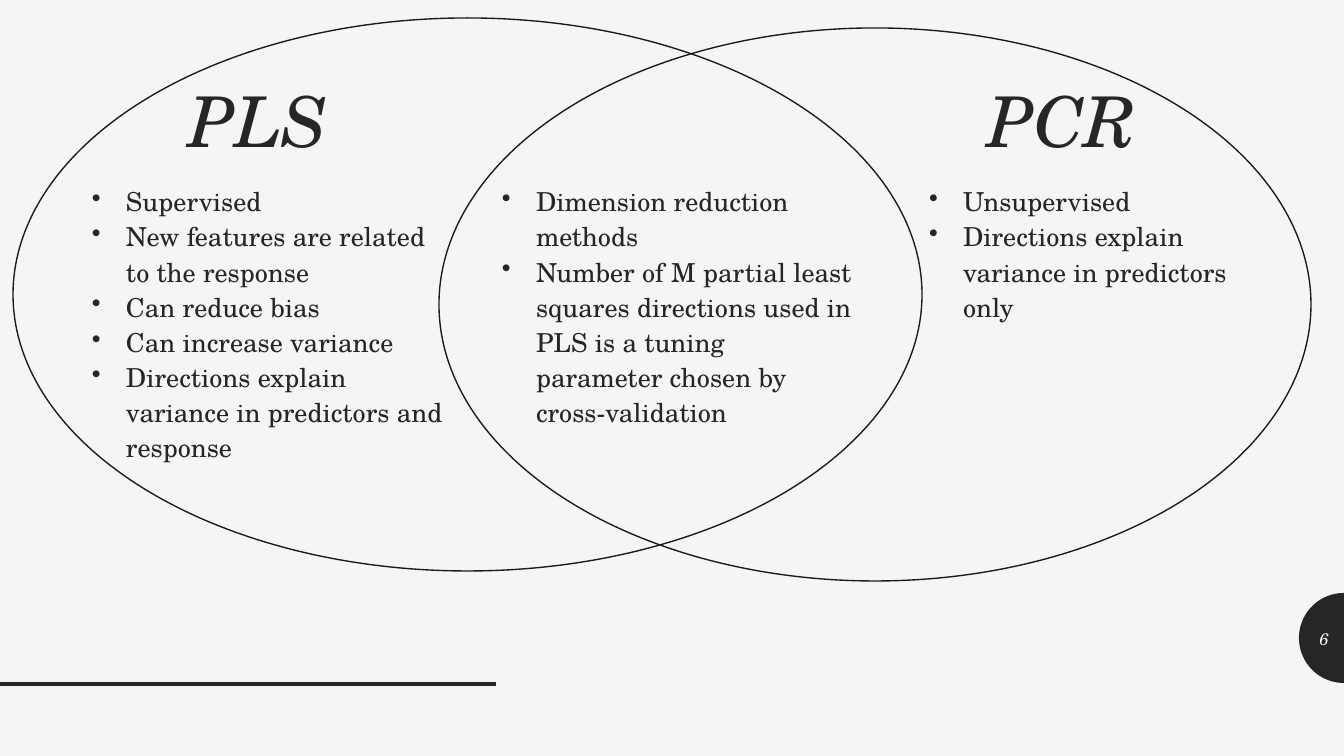
import math
import pptx
import pptx.util
import pptx.dml.color
import pptx.enum.shapes
import pptx.enum.text
import pptx.oxml.ns
import lxml.etree

INK = pptx.dml.color.RGBColor(0x26, 0x26, 0x26)
OUTLINE = pptx.dml.color.RGBColor(0x1D, 0x1A, 0x1D)
PAPER = pptx.dml.color.RGBColor(0xF5, 0xF5, 0xF5)
WHITE = pptx.dml.color.RGBColor(0xFF, 0xFF, 0xFF)
FONT = "TeX Gyre Schola"
SCALE = pptx.util.Inches(10) / 1344
qn = pptx.oxml.ns.qn


def px(length):
    return pptx.util.Emu(round(length * SCALE))


def add_text(frame, lines, size, color, italic, spacing, inset=13, bullet=False):
    frame.margin_left = frame.margin_right = px(inset)
    frame.vertical_anchor = pptx.enum.text.MSO_ANCHOR.TOP
    for index, line in enumerate(lines):
        para = frame.paragraphs[0] if index == 0 else frame.add_paragraph()
        para.line_spacing = spacing
        if bullet:
            properties = para._p.get_or_add_pPr()
            properties.set("marL", str(px(67)))
            properties.set("indent", str(-px(34)))
            lxml.etree.SubElement(properties, qn("a:buChar")).set("char", "•")
        else:
            para.alignment = pptx.enum.text.PP_ALIGN.CENTER
        span = para.add_run()
        span.text = line
        span.font.name = FONT
        span.font.size = pptx.util.Pt(size)
        span.font.italic = italic
        span.font.color.rgb = color


deck = pptx.Presentation()
deck.slide_width = px(1344)
deck.slide_height = px(756)
page = deck.slides.add_slide(deck.slide_layouts[6])
page.background.fill.solid()
page.background.fill.fore_color.rgb = PAPER

arc = [
    (px(1344 - 45 * math.sin(math.pi * step / 48)),
     px(638 - 45 * math.cos(math.pi * step / 48)))
    for step in range(49)
]
builder = page.shapes.build_freeform(*arc[0])
builder.add_line_segments(arc[1:], close=True)
badge = builder.convert_to_shape()
badge.shadow.inherit = False
badge.fill.solid()
badge.fill.fore_color.rgb = INK
badge.line.fill.background()

rule = page.shapes.add_connector(
    pptx.enum.shapes.MSO_CONNECTOR.STRAIGHT, px(0), px(684), px(496), px(684))
rule.line.color.rgb = INK
rule.line.width = pptx.util.Pt(2)
lxml.etree.SubElement(rule._element.spPr, qn("a:effectLst"))

for left, top, width in [(13, 18, 909), (439, 28, 872)]:
    oval = page.shapes.add_shape(
        pptx.enum.shapes.MSO_SHAPE.OVAL, px(left), px(top), px(width), px(553))
    oval.shadow.inherit = False
    oval.fill.background()
    oval.line.color.rgb = OUTLINE
    oval.line.width = pptx.util.Pt(0.75)

for heading, left, width in [("PLS", 79, 359), ("PCR", 880, 364)]:
    box = page.shapes.add_textbox(px(left), px(74), px(width), px(85))
    box.text_frame.word_wrap = True
    box.text_frame.margin_top = box.text_frame.margin_bottom = px(13)
    add_text(box.text_frame, [heading], 37.5, INK, True, 0.9)

columns = [
    (46, ["Supervised",
          "New features are related to the response",
          "Can reduce bias",
          "Can increase variance",
          "Directions explain variance in predictors and response"]),
    (456, ["Dimension reduction methods",
           "Number of M partial least squares directions used in PLS is a "
           "tuning parameter chosen by cross-validation"]),
    (883, ["Unsupervised",
           "Directions explain variance in predictors only"]),
]
for left, points in columns:
    box = page.shapes.add_textbox(px(left), px(169), px(410), px(503))
    box.text_frame.word_wrap = True
    box.text_frame.margin_top = box.text_frame.margin_bottom = px(13)
    add_text(box.text_frame, points, 14, INK, False, 1.12, bullet=True)

box = page.shapes.add_textbox(px(1306), px(622), px(36), px(34))
box.text_frame.word_wrap = False
add_text(box.text_frame, ["6"], 9, WHITE, True, 1.0)

deck.save("out.pptx")
